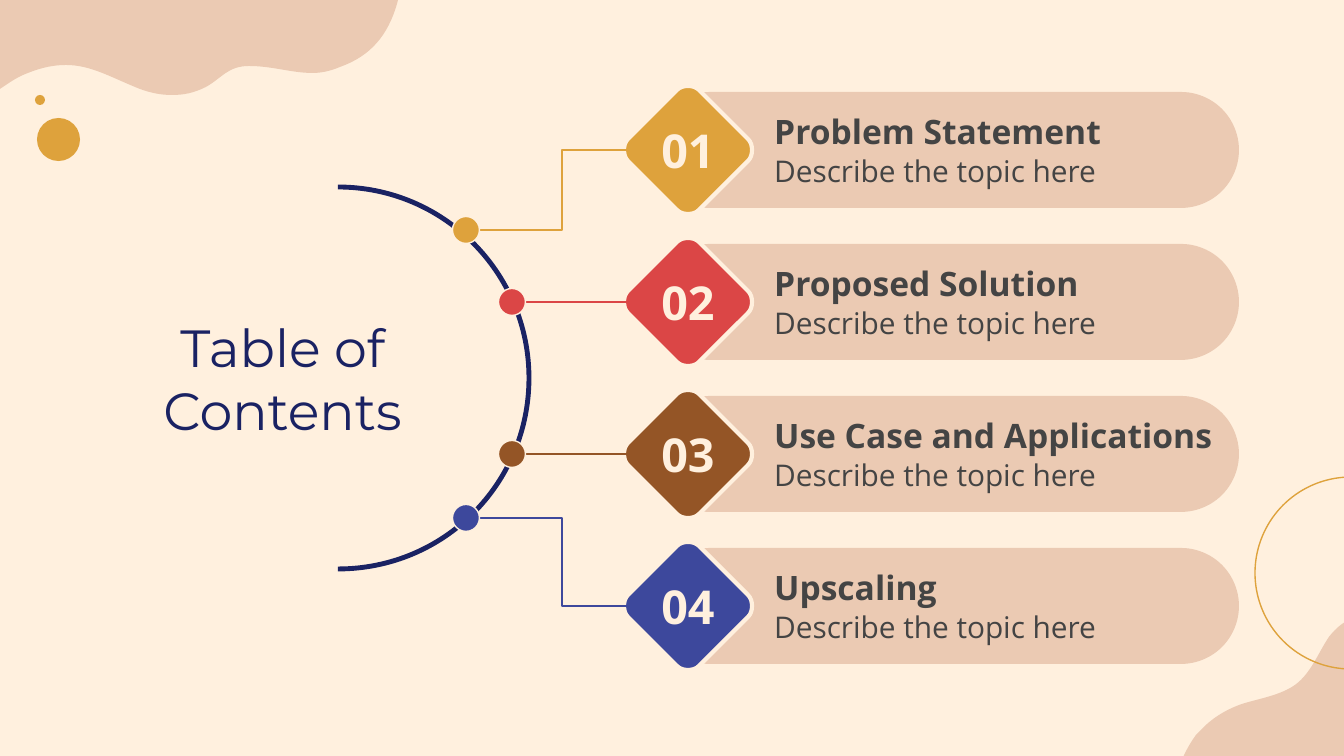
from dataclasses import dataclass

from lxml import etree
from pptx import Presentation, util as u
from pptx.dml.color import RGBColor
from pptx.enum import shapes, text
from pptx.oxml.ns import qn


@dataclass(frozen=True)
class Theme:
    cream: str = "FFF0DE"
    blush: str = "EBCAB3"
    gold: str = "DEA23C"
    red: str = "DB4646"
    brown: str = "945526"
    blue: str = "3D489C"
    navy: str = "1A2263"
    grey: str = "444444"
    display: str = "Montserrat"
    body: str = "Open Sans"
    title: int = 28
    number: int = 25
    heading: int = 18
    detail: int = 16


theme = Theme()
TITLE = "Table of Contents"
DETAIL = "Describe the topic here"
# number, heading, heading width, colour, dot centre on the arc
TOPICS = [
    ("01", "Problem Statement", 448, theme.gold, (466, 230)),
    ("02", "Proposed Solution", 448, theme.red, (512, 302)),
    ("03", "Use Case and Applications", 525, theme.brown, (512, 454)),
    ("04", "Upscaling", 448, theme.blue, (466, 518)),
]

# Outlines: two numbers are a point, six are a cubic curve to the last point
TOP_BLOB = [
    (0, 0), (0, 89), (9, 83, 17, 77, 28, 73), (43, 67, 55, 65, 66, 65),
    (91, 65, 110, 77, 140, 89), (151, 93, 161, 95, 172, 95),
    (184, 95, 194, 93, 206, 87), (222, 78, 228, 66, 249, 66),
    (273, 66, 291, 73, 313, 73), (321, 73, 331, 71, 340, 67),
    (371, 56, 388, 35, 397, 4), (397, 3, 398, 1, 398, 0),
]
CORNER_BLOB = [
    (1196, 735), (1197, 734, 1199, 732, 1200, 731),
    (1211, 719, 1225, 710, 1242, 704), (1258, 699, 1277, 696, 1292, 687),
    (1310, 676, 1317, 655, 1329, 637), (1336, 628, 1347, 618, 1359, 617),
    (1384, 614, 1394, 638, 1394, 660), (1394, 685, 1382, 710, 1370, 732),
    (1359, 753, 1344, 771, 1328, 786), (1304, 808, 1274, 829, 1243, 837),
    (1220, 844, 1193, 836, 1181, 816), (1167, 790, 1180, 757, 1196, 735),
]
ARC = [(338, 187), (444, 187, 529, 273, 529, 378),
       (529, 484, 444, 569, 338, 569)]
DIAMOND_CORNER = [(-11, -60), (-8, -63, -4, -64, 0, -64),
                  (4, -64, 8, -63, 11, -60)]

WIDTH, HEIGHT = 1344, 756
SCALE = u.Inches(10) / WIDTH
FIRST_ROW, ROW_PITCH = 150, 152
BAR_LEFT, BAR_WIDTH, BAR_HEIGHT = 652, 587, 116
DIAMOND_X, DIAMOND_WIDTH = 688, 132
DOT_SIZE, ELBOW_X, LINE_END = 27, 562, 629
LABEL_LEFT, LABEL_HEIGHT = 761, 48
HEADING_RISE, DETAIL_RISE = 53, 11


def px(*values):
    return [u.Emu(round(value * SCALE)) for value in values]


def pairs(step):
    return list(zip(step[::2], step[1::2]))


def paint(shape, fill=None, line=None, points=0.75):
    shape.shadow.inherit = False
    if fill:
        shape.fill.solid()
        shape.fill.fore_color.rgb = RGBColor.from_string(fill)
    else:
        shape.fill.background()
    if line:
        shape.line.color.rgb = RGBColor.from_string(line)
        shape.line.width = u.Pt(points)
    else:
        shape.line.fill.background()


def add_preset(parent, kind, left, top, width, height, **colours):
    shape = parent.add_shape(kind, *px(left, top, width, height))
    paint(shape, **colours)
    return shape


def add_outline(parent, outline, close=True, **colours):
    """Build a freeform from its end points, then bend its curved segments."""
    start, *rest = [px(*step[-2:]) for step in outline]
    builder = parent.build_freeform(*start)
    builder.add_line_segments(rest, close=close)
    shape = builder.convert_to_shape()
    segments = list(shape._element.iter(qn("a:lnTo")))
    for segment, step in zip(segments, outline[1:]):
        if len(step) == 6:
            segment.remove(segment[0])
            curve = etree.Element(qn("a:cubicBezTo"))
            for point in pairs(step):
                x, y = px(*point)
                etree.SubElement(curve, qn("a:pt"), x=str(x - shape.left),
                                 y=str(y - shape.top))
            segment.getparent().replace(segment, curve)
    paint(shape, **colours)


def diamond(center_x, center_y):
    """Repeat one rounded corner at each quarter turn."""
    outline, corner = [], [pairs(step) for step in DIAMOND_CORNER]
    for _ in range(4):
        outline += [sum(((center_x + x, center_y + y) for x, y in step), ())
                    for step in corner]
        corner = [[(-y, x) for x, y in step] for step in corner]
    return outline


def add_link(parent, dot, end, colour):
    straight = dot[1] == end[1]
    kind = shapes.MSO_CONNECTOR.STRAIGHT if straight else shapes.MSO_CONNECTOR.ELBOW
    link = parent.add_connector(kind, *px(*dot, *end))
    link.line.color.rgb = RGBColor.from_string(colour)
    link.line.width = u.Pt(0.75)
    properties = link._element.spPr
    etree.SubElement(properties, qn("a:effectLst"))
    if not straight:
        bend = round(100000 * (ELBOW_X - dot[0]) / (end[0] - dot[0]))
        guides = properties.find(qn("a:prstGeom")).get_or_add_avLst()
        etree.SubElement(guides, qn("a:gd"), name="adj1", fmla=f"val {bend}")


def add_text(slide, words, box, size, colour, font=theme.body, bold=False,
             centred=False):
    frame = slide.shapes.add_textbox(*px(*box)).text_frame
    frame.word_wrap = True
    frame.margin_left = frame.margin_right = u.Inches(0.1)
    frame.margin_top = frame.margin_bottom = u.Inches(0.1)
    paragraph = frame.paragraphs[0]
    if centred:
        frame.vertical_anchor = text.MSO_ANCHOR.MIDDLE
        paragraph.alignment = text.PP_ALIGN.CENTER
    run = paragraph.add_run()
    run.text = words
    run.font.name, run.font.size, run.font.bold = font, u.Pt(size), bold
    run.font.color.rgb = RGBColor.from_string(colour)


def main():
    presentation = Presentation()
    presentation.slide_width, presentation.slide_height = px(WIDTH, HEIGHT)
    slide = presentation.slides.add_slide(presentation.slide_layouts[6])
    slide.background.fill.solid()
    slide.background.fill.fore_color.rgb = RGBColor.from_string(theme.cream)
    canvas = slide.shapes
    oval = shapes.MSO_SHAPE.OVAL

    add_outline(canvas, TOP_BLOB, fill=theme.blush)
    add_outline(canvas, CORNER_BLOB, fill=theme.blush)
    add_preset(canvas, oval, 35, 95, 10, 10, fill=theme.gold)
    add_preset(canvas, oval, 37, 118, 43, 43, fill=theme.gold)
    add_preset(canvas, oval, 1255, 477, 192, 192, line=theme.gold)

    rows = [(FIRST_ROW + index * ROW_PITCH, topic)
            for index, topic in enumerate(TOPICS)]
    for middle, _ in rows:
        bar = add_preset(canvas, shapes.MSO_SHAPE.ROUNDED_RECTANGLE, BAR_LEFT,
                         middle - BAR_HEIGHT / 2, BAR_WIDTH, BAR_HEIGHT,
                         fill=theme.blush)
        bar.adjustments[0] = 0.5
    add_text(slide, TITLE, (85, 293, 395, 171), theme.title, theme.navy,
             font=theme.display, centred=True)
    add_outline(canvas, ARC, close=False, line=theme.navy, points=2.6)

    for middle, (number, heading, width, colour, dot) in rows:
        marker = canvas.add_group_shape().shapes
        add_outline(marker, diamond(DIAMOND_X, middle), fill=colour,
                    line=theme.cream, points=2.25)
        add_link(marker, dot, (LINE_END, middle), colour)
        add_preset(marker, oval, dot[0] - DOT_SIZE / 2, dot[1] - DOT_SIZE / 2,
                   DOT_SIZE, DOT_SIZE, fill=colour, line=theme.cream)
        add_text(slide, number,
                 (DIAMOND_X - DIAMOND_WIDTH / 2, middle - BAR_HEIGHT / 2,
                  DIAMOND_WIDTH, BAR_HEIGHT),
                 theme.number, theme.cream, bold=True, centred=True)
        add_text(slide, heading,
                 (LABEL_LEFT, middle - HEADING_RISE, width, LABEL_HEIGHT),
                 theme.heading, theme.grey, bold=True)
        add_text(slide, DETAIL,
                 (LABEL_LEFT, middle - DETAIL_RISE, 448, LABEL_HEIGHT),
                 theme.detail, theme.grey)
    presentation.save("out.pptx")


if __name__ == "__main__":
    main()
